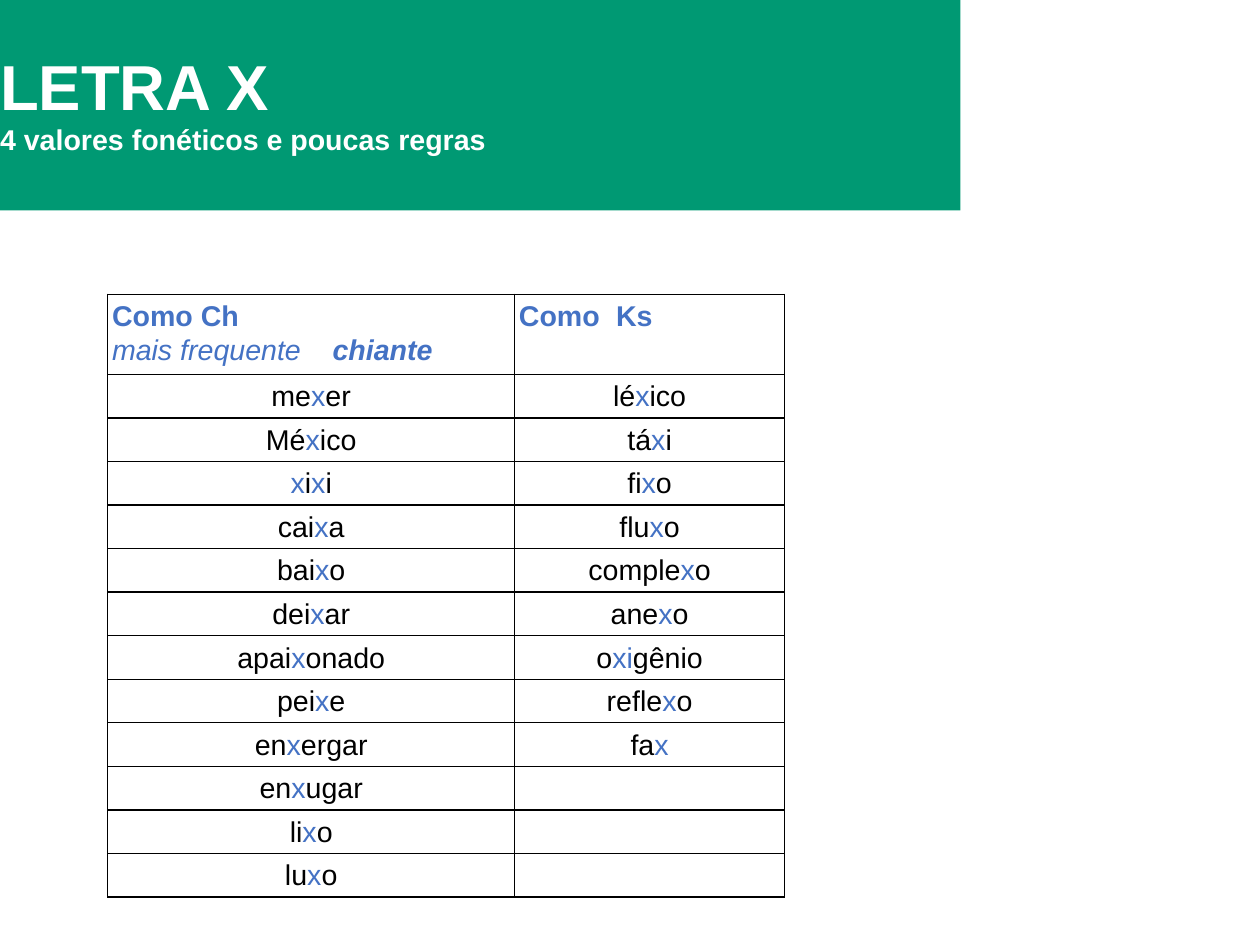
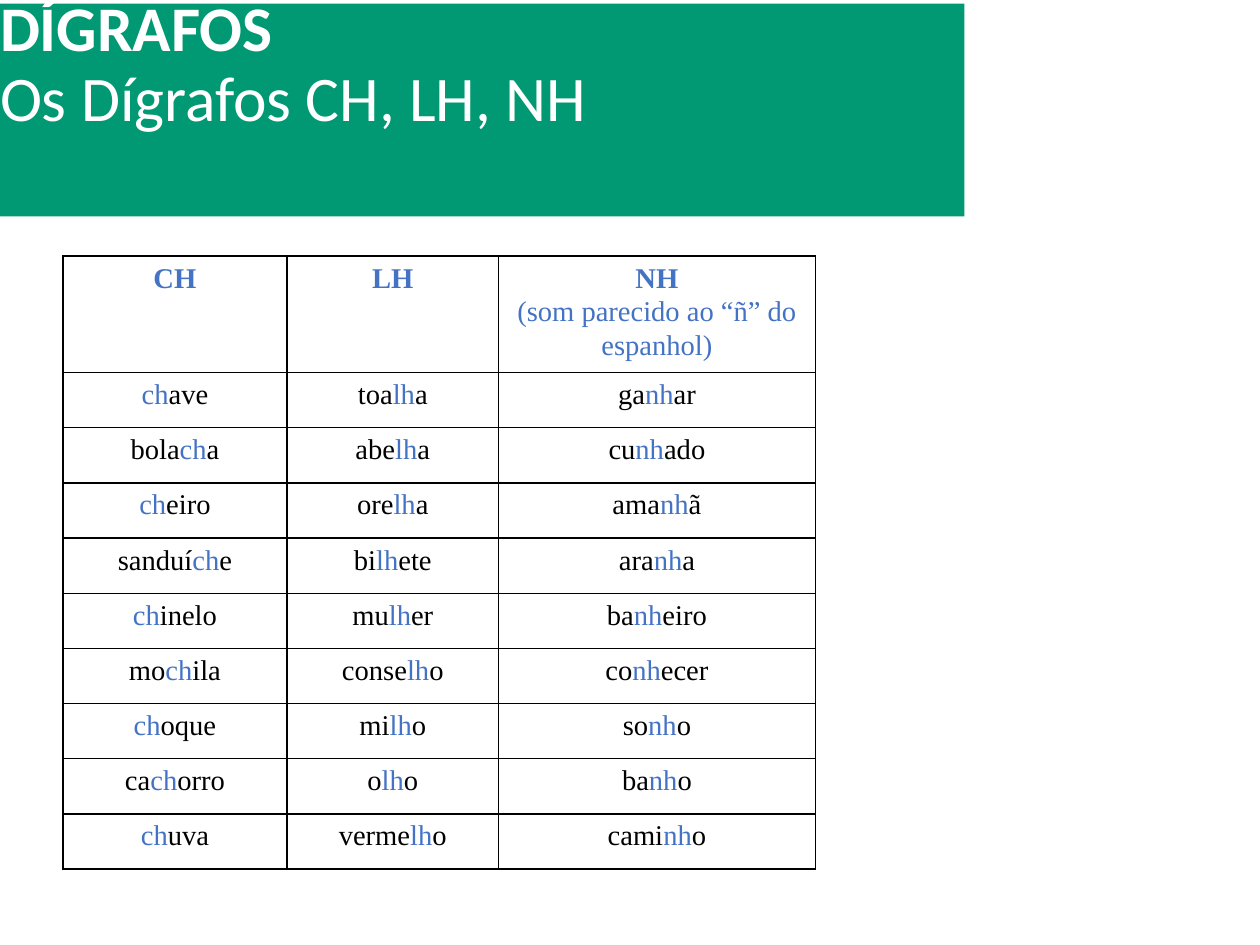
from lxml.etree import SubElement
from pptx import Presentation
from pptx.dml.color import RGBColor
from pptx.enum.text import MSO_ANCHOR, MSO_AUTO_SIZE, PP_ALIGN
from pptx.oxml import parse_xml
from pptx.oxml.ns import nsdecls, qn
from pptx.util import Cm, Inches, Pt

GREEN = RGBColor(0x00, 0x99, 0x73)
BLUE = RGBColor(0x44, 0x72, 0xC4)
WHITE = RGBColor(0xFF, 0xFF, 0xFF)
BLACK = RGBColor(0x00, 0x00, 0x00)
CELL_INSET = Pt(2.7)
TITLE_LAYOUT = 5


def write(para, text, font, size=18, color=BLACK, bold=False, italic=False,
          align=PP_ALIGN.CENTER, spacing=1.07, tab=None):
    """Add text to a paragraph; parts between asterisks turn blue."""
    para.alignment = align
    para.line_spacing = spacing
    if tab:
        stops = SubElement(para._p.get_or_add_pPr(), qn("a:tabLst"))
        SubElement(stops, qn("a:tab"), pos=str(Inches(tab)), algn="l")
    for index, part in enumerate(text.split("*")):
        if part:
            span = para.add_run()
            span.text = part
            span.font.name = font
            span.font.size = Pt(size)
            span.font.bold = bold
            span.font.italic = italic
            span.font.color.rgb = BLUE if index % 2 else color


def outline(cell):
    """Draw a thin black border on all four sides of a cell."""
    for place, side in enumerate("LRTB"):
        line = parse_xml(
            f'<a:ln{side} {nsdecls("a")} w="{Pt(1)}"><a:solidFill>'
            f'<a:srgbClr val="{BLACK}"/></a:solidFill></a:ln{side}>')
        cell._tc.get_or_add_tcPr().insert(place, line)


left = {"align": PP_ALIGN.LEFT}

# Places and sizes are percentages of the slide's width and height.
# A header cell is a list of paragraphs, each a list of (text, format) spans.
pages = [
    {
        "band": (0, 0, 76.23, 22.27),
        "anchor": MSO_ANCHOR.MIDDLE,
        "title_font": "Arial",
        "title": [
            ("LETRA X", {"size": 40, "bold": True, "spacing": 0.93}),
            ("4 valores fonéticos e poucas regras",
             {"size": 18, "bold": True, "spacing": 0.93}),
        ],
        "table_font": "Arial",
        "table_at": (8.55, 31.15),
        "columns": (32.3, 21.42),
        "header_row": 8.46,
        "word_row": 4.61,
        "headers": [
            [[("Como Ch", {"bold": True, **left})],
             [("mais frequente", {"italic": True, "tab": 1.93, **left}),
              ("\tchiante", {"bold": True, "italic": True, **left})]],
            [[("Como\tKs", {"bold": True, "tab": 0.85, **left})]],
        ],
        "words": [
            ["me*x*er", "Mé*x*ico", "*x*i*x*i", "cai*x*a", "bai*x*o", "dei*x*ar",
             "apai*x*onado", "pei*x*e", "en*x*ergar", "en*x*ugar", "li*x*o", "lu*x*o"],
            ["lé*x*ico", "tá*x*i", "fi*x*o", "flu*x*o", "comple*x*o", "ane*x*o",
             "o*xi*gênio", "refle*x*o", "fa*x*"],
        ],
    },
    {
        "band": (0, 0.38, 76.55, 22.51),
        "anchor": MSO_ANCHOR.TOP,
        "title_font": "Calibri",
        "title": [
            ("DÍGRAFOS", {"size": 40, "bold": True, "spacing": 0.78}),
            ("Os Dígrafos CH, LH, NH", {"size": 40, "spacing": 0.96}),
        ],
        "table_font": "Times New Roman",
        "table_at": (4.99, 27.09),
        "columns": (17.79, 16.79, 25.14),
        "header_row": 12.33,
        "word_row": 5.84,
        "headers": [
            [[("CH", {"bold": True})]],
            [[("LH", {"bold": True})]],
            [[("NH", {"bold": True})],
             [("(som parecido ao “ñ” do espanhol)", {})]],
        ],
        "words": [
            ["*ch*ave", "bola*ch*a", "*ch*eiro", "sanduí*ch*e", "*ch*inelo",
             "mo*ch*ila", "*ch*oque", "ca*ch*orro", "*ch*uva"],
            ["toa*lh*a", "abe*lh*a", "ore*lh*a", "bi*lh*ete", "mu*lh*er",
             "conse*lh*o", "mi*lh*o", "o*lh*o", "verme*lh*o"],
            ["ga*nh*ar", "cu*nh*ado", "ama*nh*ã", "ara*nh*a", "ba*nh*eiro",
             "co*nh*ecer", "so*nh*o", "ba*nh*o", "cami*nh*o"],
        ],
    },
]

deck = Presentation()
deck.slide_width = Cm(28)
deck.slide_height = Cm(21)
# The default template labels its slide size 4:3 screen; this size is custom.
deck.element.sldSz.attrib.pop("type", None)
across = deck.slide_width / 100
down = deck.slide_height / 100

for page in pages:
    slide = deck.slides.add_slide(deck.slide_layouts[TITLE_LAYOUT])

    # Title band
    title = slide.shapes.title
    x, y, width, height = page["band"]
    title.left, title.top = int(x * across), int(y * down)
    title.width, title.height = int(width * across), int(height * down)
    title.fill.solid()
    title.fill.fore_color.rgb = GREEN
    frame = title.text_frame
    frame.auto_size = MSO_AUTO_SIZE.NONE
    frame.word_wrap = True
    frame.vertical_anchor = page["anchor"]
    frame.margin_left = frame.margin_right = 0
    frame.margin_top = frame.margin_bottom = 0
    for index, (text, style) in enumerate(page["title"]):
        para = frame.add_paragraph() if index else frame.paragraphs[0]
        write(para, text, page["title_font"], color=WHITE, **left, **style)

    # Word table
    x, y = page["table_at"]
    columns = page["columns"]
    word_count = max(len(words) for words in page["words"])
    heights = [page["header_row"]] + [page["word_row"]] * word_count
    table = slide.shapes.add_table(
        len(heights), len(columns), int(x * across), int(y * down),
        int(sum(columns) * across), int(sum(heights) * down)).table
    table.first_row = table.horz_banding = False
    for column, width in zip(table.columns, columns):
        column.width = int(width * across)
    for row, height in zip(table.rows, heights):
        row.height = int(height * down)
    for cell in table.iter_cells():
        cell.margin_left = cell.margin_right = CELL_INSET
        cell.margin_top = cell.margin_bottom = CELL_INSET
        cell.fill.background()
        outline(cell)

    font = page["table_font"]
    for column, (header, words) in enumerate(zip(page["headers"], page["words"])):
        frame = table.cell(0, column).text_frame
        for index, spans in enumerate(header):
            para = frame.add_paragraph() if index else frame.paragraphs[0]
            for text, style in spans:
                write(para, text, font, color=BLUE, **style)
        for row, word in enumerate(words, start=1):
            write(table.cell(row, column).text_frame.paragraphs[0], word, font)

deck.save("out.pptx")
